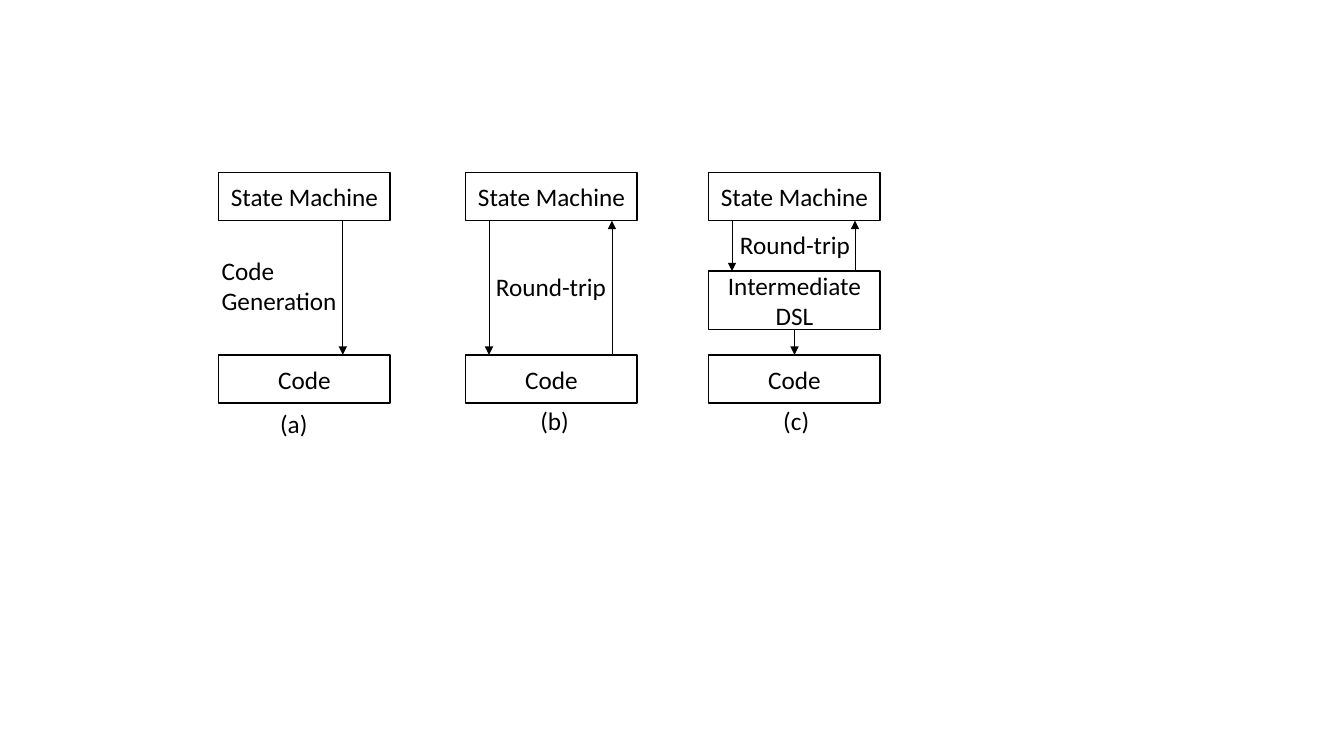
from lxml import etree
from pptx import Presentation
from pptx.dml.color import RGBColor
from pptx.enum.shapes import MSO_CONNECTOR, MSO_SHAPE
from pptx.enum.text import MSO_ANCHOR, MSO_AUTO_SIZE, PP_ALIGN
from pptx.oxml.ns import qn
from pptx.util import Inches, Pt

BLACK = RGBColor(0, 0, 0)

BOX_WIDTH, BOX_HEIGHT = 1.7, 0.48
MACHINE_TOP, CODE_TOP = 1.71, 3.52
MACHINE_BOTTOM = MACHINE_TOP + BOX_HEIGHT
DSL_TOP, DSL_HEIGHT = 2.69, 0.58
COLUMN_A, COLUMN_B, COLUMN_C = 2.17, 4.62, 7.03
DOWN_OFFSET, UP_OFFSET = 0.23, 1.45


def write_text(text_frame, text, size=18, font="Calibri", color=BLACK,
               align=PP_ALIGN.LEFT, anchor=MSO_ANCHOR.TOP, wrap=True):
    text_frame.word_wrap = wrap
    text_frame.vertical_anchor = anchor
    paragraph = text_frame.paragraphs[0]
    paragraph.text = text
    paragraph.alignment = align
    for run in paragraph.runs:
        run.font.size = Pt(size)
        run.font.name = font
        run.font.color.rgb = color


def add_box(slide, text, left, top, height=BOX_HEIGHT):
    shape = slide.shapes.add_shape(MSO_SHAPE.RECTANGLE, Inches(left), Inches(top),
                                   Inches(BOX_WIDTH), Inches(height))
    shape.shadow.inherit = False
    shape.fill.background()
    shape.line.color.rgb = BLACK
    shape.line.width = Pt(1)
    write_text(shape.text_frame, text, align=PP_ALIGN.CENTER, anchor=MSO_ANCHOR.MIDDLE)


def add_label(slide, text, left, top, width, height=0.4):
    text_box = slide.shapes.add_textbox(Inches(left), Inches(top),
                                        Inches(width), Inches(height))
    write_text(text_box.text_frame, text, wrap=False)
    text_box.text_frame.auto_size = MSO_AUTO_SIZE.SHAPE_TO_FIT_TEXT


def add_arrow(slide, x, start, end):
    """Draw a vertical arrow that points at end."""
    connector = slide.shapes.add_connector(MSO_CONNECTOR.STRAIGHT, Inches(x),
                                           Inches(start), Inches(x), Inches(end))
    connector.line.color.rgb = BLACK
    connector.line.width = Pt(0.5)
    etree.SubElement(connector.line._get_or_add_ln(), qn("a:tailEnd"), type="triangle")
    etree.SubElement(connector._element.spPr, qn("a:effectLst"))


def add_round_trip(slide, column, bottom, label_left, label_top):
    add_arrow(slide, column + DOWN_OFFSET, MACHINE_BOTTOM, bottom)
    add_arrow(slide, column + UP_OFFSET, bottom, MACHINE_BOTTOM)
    add_label(slide, "Round-trip", label_left, label_top, 1.31)


def main():
    presentation = Presentation()
    presentation.slide_width = Inches(13.33)
    presentation.slide_height = Inches(7.5)
    slide = presentation.slides.add_slide(presentation.slide_layouts[6])

    # Boxes shared by the three approaches
    for column in (COLUMN_A, COLUMN_B, COLUMN_C):
        add_box(slide, "State Machine", column, MACHINE_TOP)
        add_box(slide, "Code", column, CODE_TOP)

    # (a) One-way code generation
    add_arrow(slide, COLUMN_A + 1.23, MACHINE_BOTTOM, CODE_TOP)
    add_label(slide, "Code \vGeneration", 2.1, 2.48, 1.36, 0.71)

    # (b) Round-trip between state machine and code
    add_round_trip(slide, COLUMN_B, CODE_TOP, 4.82, 2.64)

    # (c) Round-trip through an intermediate language
    add_box(slide, "Intermediate DSL", COLUMN_C, DSL_TOP, DSL_HEIGHT)
    add_arrow(slide, COLUMN_C + BOX_WIDTH / 2, DSL_TOP + DSL_HEIGHT, CODE_TOP)
    add_round_trip(slide, COLUMN_C, DSL_TOP, 7.24, 2.23)

    # Captions
    for caption, left, top, width in (("(a)", 2.68, 4, 0.48),
                                      ("(b)", 5.26, 3.97, 0.49),
                                      ("(c)", 7.67, 3.97, 0.46)):
        add_label(slide, caption, left, top, width)

    presentation.save("out.pptx")


if __name__ == "__main__":
    main()
